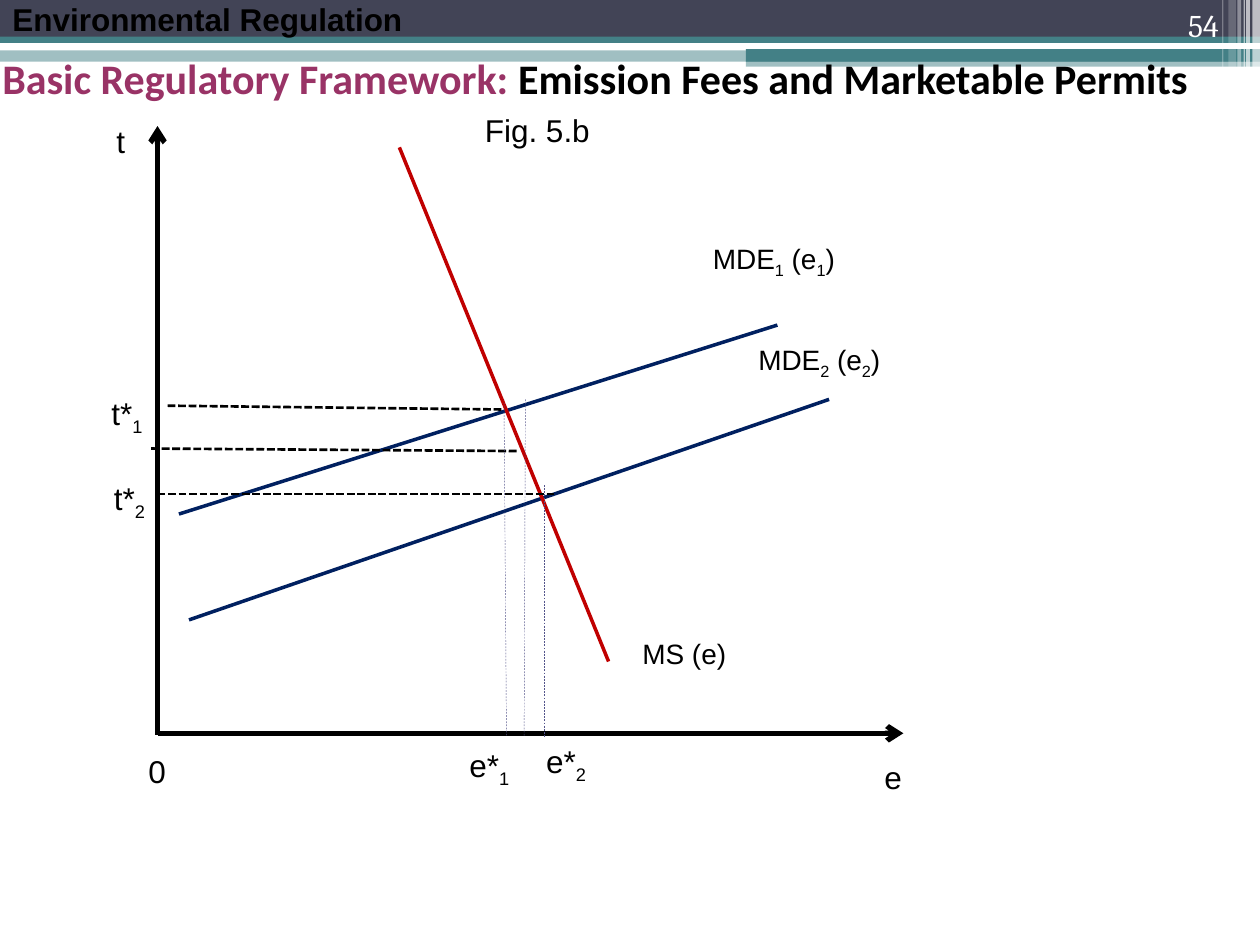
from lxml import etree
from pptx import Presentation
from pptx import util as u
from pptx.dml.color import RGBColor
from pptx.enum import dml, shapes, text
from pptx.oxml.ns import qn

PX = 9144  # EMU per px, 100 px to the inch
COLORS = {
    "slate": "424456", "teal": "438086", "white": "FFFFFF", "black": "000000",
    "plum": "993366", "navy": "002060", "red": "C00000", "violet": "53548A",
}
ALIGN, ANCHOR = text.PP_ALIGN, text.MSO_ANCHOR
DOTS, DASH = dml.MSO_LINE.SQUARE_DOT, dml.MSO_LINE.DASH


def px(*values):
    return [u.Emu(v * PX) for v in values]


def rgb(name):
    return RGBColor.from_string(COLORS[name])


def add_bar(s, x, y, w, h, color, opacity=100):
    sp = s.shapes.add_shape(shapes.MSO_SHAPE.RECTANGLE, *px(x, y, w, h))
    sp.shadow.inherit = False
    sp.fill.solid()
    sp.fill.fore_color.rgb = rgb(color)
    sp.line.fill.background()
    if opacity < 100:
        clr = sp.fill._xPr.find(qn("a:solidFill"))[0]
        etree.SubElement(clr, qn("a:alpha"), val=str(opacity * 1000))


def add_line(s, x1, y1, x2, y2, color, width, dash=None, arrow=False):
    cx = s.shapes.add_connector(shapes.MSO_CONNECTOR.STRAIGHT, *px(x1, y1, x2, y2))
    cx.line.color.rgb = rgb(color)
    cx.line.width = u.Pt(width)
    if dash:
        cx.line.dash_style = dash
    if arrow:
        etree.SubElement(cx.line._get_or_add_ln(), qn("a:tailEnd"), type="arrow")
    etree.SubElement(cx._element.spPr, qn("a:effectLst"))


def add_text(s, x, y, w, h, runs, size, font="Arial", bold=False,
             align=ALIGN.LEFT, anchor=ANCHOR.TOP):
    """Each run is (wording, color, is_subscript)."""
    tf = s.shapes.add_textbox(*px(x, y, w, h)).text_frame
    tf.word_wrap = True
    tf.vertical_anchor = anchor
    p = tf.paragraphs[0]
    p.alignment = align
    for wording, color, sub in runs:
        r = p.add_run()
        r.text = wording
        r.font.name, r.font.size, r.font.bold = font, u.Pt(size), bold
        r.font.color.rgb = rgb(color)
        if sub:
            r.font._element.set("baseline", "-25000")


def label_runs(label):
    """Split a label into runs; the character after each _ is a subscript."""
    first, *rest = label.split("_")
    runs = [(first, "black", False)]
    for part in rest:
        runs.append((part[0], "black", True))
        if part[1:]:
            runs.append((part[1:], "black", False))
    return runs


def header(s, x, y, w):
    # Bands; the lower right ones start at the accent
    accent = 592
    for left, top, h, color, opacity in (
        (0, 40, 9, "teal", 50), (0, 0, 34, "slate", 100), (0, 29, 5, "teal", 100),
        (accent, 39, 10, "teal", 100), (accent, 48, 5, "teal", 50),
    ):
        add_bar(s, x + left, y + top, w - left, h, color, opacity)
    # Pale stripes at the right edge
    for left, width, h, opacity in (
        (994, 6, 68, 65), (989, 3, 68, 65), (987, 1, 68, 60),
        (982, 3, 68, 40), (975, 6, 64, 20), (970, 1, 64, 30),
    ):
        add_bar(s, x + left, y, width, h, "white", opacity)
    # Topic and page number
    add_text(s, x, y - 5, 350, 40, label_runs("Environmental Regulation"), 18, bold=True)
    add_text(s, x + 894, y, 83, 40, [("54", "white", False)], 18, "Cambria",
             align=ALIGN.RIGHT, anchor=ANCHOR.BOTTOM)


def title(s, x, y, w, h):
    runs = [("Basic Regulatory Framework: ", "plum", False),
            ("Emission Fees and Marketable Permits", "black", False)]
    add_text(s, x, y, w, h, runs, 24, "Calibri", True, anchor=ANCHOR.MIDDLE)


def diagram(s, x, y):
    def line(x1, y1, x2, y2, *style, **more):
        add_line(s, x + x1, y + y1, x + x2, y + y2, *style, **more)

    # Axes
    line(65, 503, 65, 20, "black", 3, arrow=True)
    line(65, 502, 657, 502, "black", 3, arrow=True)
    # Damage and savings curves
    line(82, 328, 557, 178, "navy", 2)
    line(90, 412, 598, 237, "navy", 2)
    line(257, 37, 423, 445, "red", 2)
    # Fee levels
    for ends in ((73, 242, 340, 245), (60, 276, 351, 278), (65, 312, 382, 312)):
        line(*ends, "black", 1.5, DOTS)
    # Emission levels
    for ends in ((340, 237, 342, 504), (357, 237, 356, 504), (372, 305, 372, 505)):
        line(*ends, "violet", 0.25, DASH)
    # Curve labels
    for label, left, top in (
        ("MDE_1 (e_1)", 496, 107), ("MDE_2 (e_2)", 532, 187), ("MS (e)", 440, 420),
    ):
        add_text(s, x + left, y + top, 142, 37, label_runs(label), 16)
    # Axis labels and caption
    for label, left, top, w, align in (
        ("t*_1", 5, 228, 58, ALIGN.RIGHT), ("t*_2", 7, 295, 58, ALIGN.RIGHT),
        ("e*_1", 296, 507, 58, ALIGN.RIGHT), ("e*_2", 357, 504, 58, ALIGN.RIGHT),
        ("0", 48, 512, 42, ALIGN.LEFT), ("e", 632, 517, 42, ALIGN.LEFT),
        ("t", 7, 12, 42, ALIGN.RIGHT), ("Fig. 5.b", 315, 3, 150, ALIGN.LEFT),
    ):
        add_text(s, x + left, y + top, w, 40, label_runs(label), 18, align=align)


def main():
    prs = Presentation()
    prs.slide_width, prs.slide_height = px(1000, 750)
    s = prs.slides.add_slide(prs.slide_layouts[6])
    header(s, 0, 0, 1000)
    diagram(s, 60, 80)
    title(s, -8, 24, 1000, 75)
    prs.save("out.pptx")


if __name__ == "__main__":
    main()
